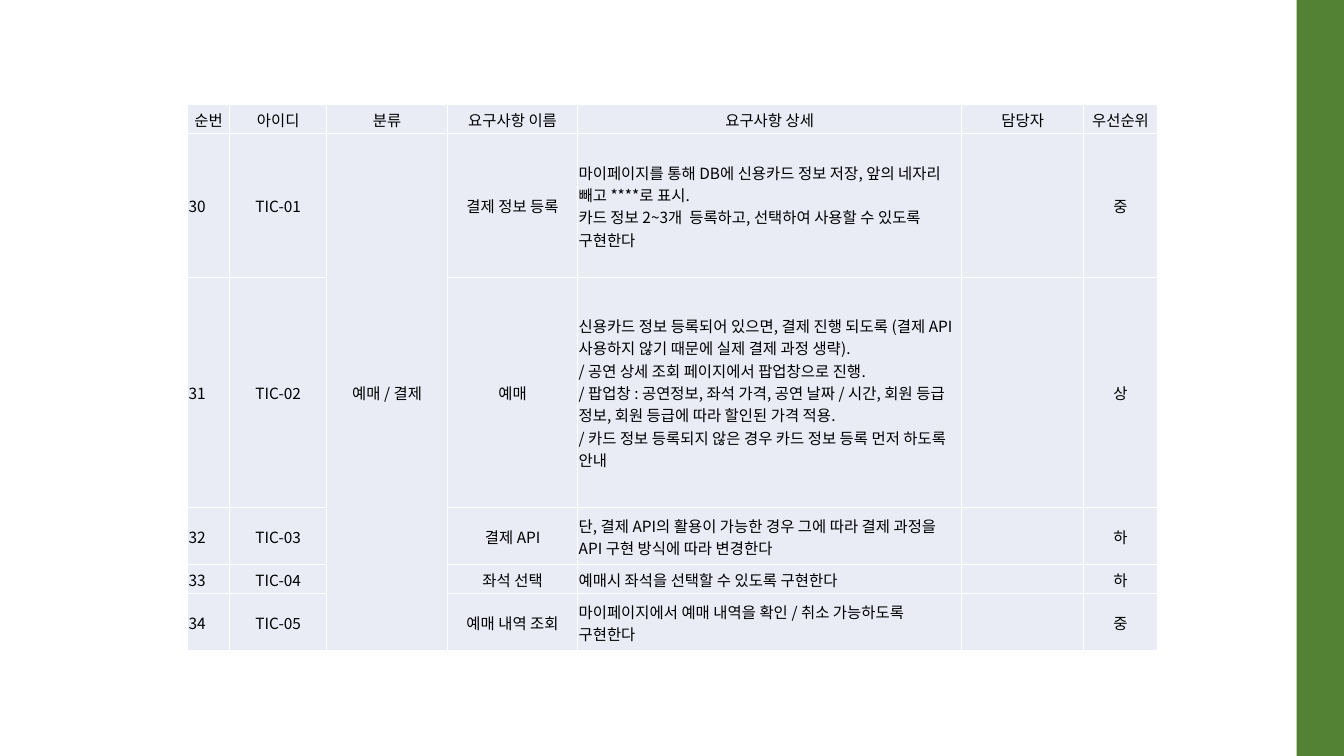
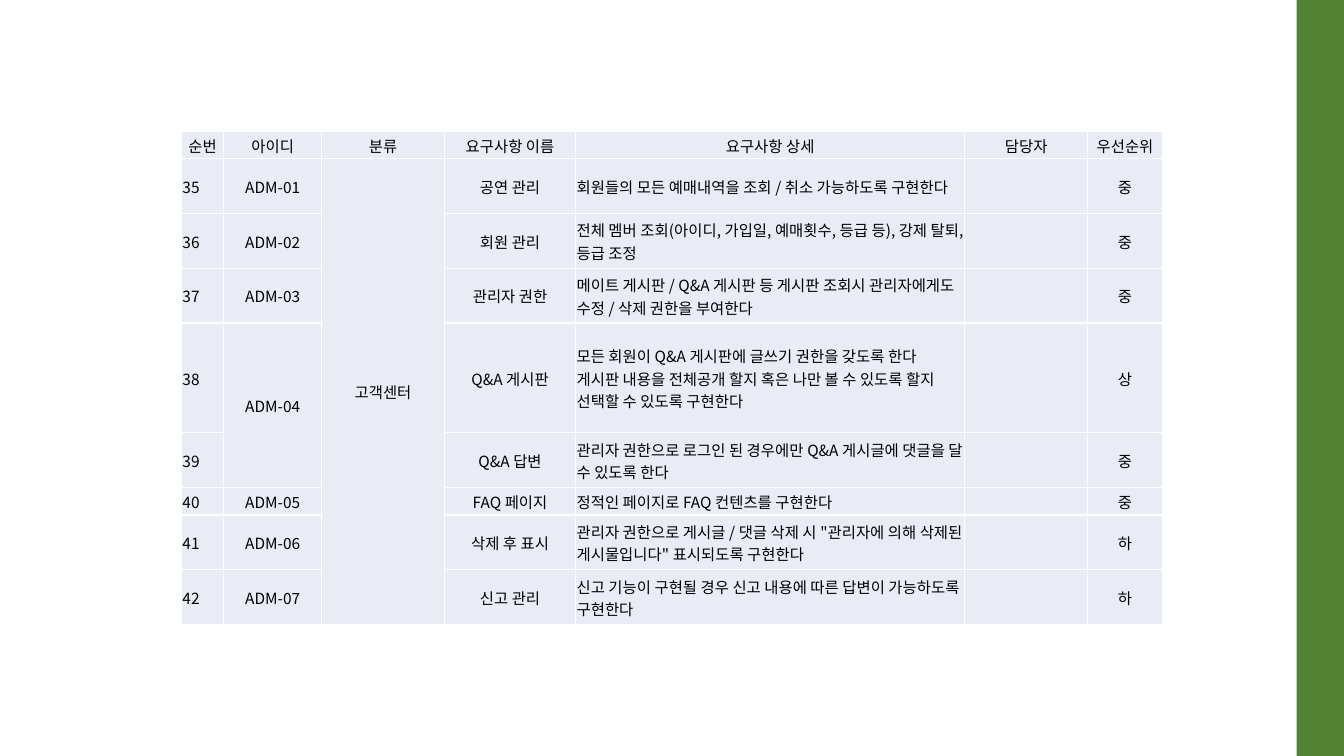
import pptx
import pptx.dml.color
import pptx.enum.shapes
import pptx.enum.text
import pptx.oxml
import pptx.oxml.ns
import pptx.util
from lxml import etree
from pptx.util import Inches

SLIDE_WIDTH, SLIDE_HEIGHT = 13.33, 7.5
BAND_WIDTH = 0.47
GREEN, LAVENDER, WHITE, BLACK = "548235", "E9EBF5", "FFFFFF", "000000"
FONT_NAME, FONT_SIZE = "Noto Sans CJK KR", 11
BORDER_WIDTH = 1

HEADERS = ["순번", "아이디", "분류", "요구사항 이름", "요구사항 상세", "담당자", "우선순위"]
NUMBER_COLUMN, ID_COLUMN, CATEGORY_COLUMN, DETAIL_COLUMN = 0, 1, 2, 4

# Each requirement: id (empty continues the one above), name, detail, priority, height in line units
TICKET_REQUIREMENTS = [
    ("TIC-01", "결제 정보 등록",
     "마이페이지를 통해 DB에 신용카드 정보 저장, 앞의 네자리 빼고 ****로 표시.\n"
     "카드 정보 2~3개  등록하고, 선택하여 사용할 수 있도록\n구현한다", "중", 5),
    ("TIC-02", "예매",
     "신용카드 정보 등록되어 있으면, 결제 진행 되도록 (결제 API 사용하지 않기 때문에 실제 결제 과정 생략).\n"
     "/ 공연 상세 조회 페이지에서 팝업창으로 진행.\n"
     "/ 팝업창 : 공연정보, 좌석 가격, 공연 날짜 / 시간, 회원 등급 정보, 회원 등급에 따라 할인된 가격 적용. \n"
     "/ 카드 정보 등록되지 않은 경우 카드 정보 등록 먼저 하도록 안내", "상", 8),
    ("TIC-03", "결제 API",
     "단, 결제 API의 활용이 가능한 경우 그에 따라 결제 과정을 API 구현 방식에 따라 변경한다", "하", 2),
    ("TIC-04", "좌석 선택", "예매시 좌석을 선택할 수 있도록 구현한다", "하", 1),
    ("TIC-05", "예매 내역 조회",
     "마이페이지에서 예매 내역을 확인 / 취소 가능하도록 구현한다", "중", 2),
]
ADMIN_REQUIREMENTS = [
    ("ADM-01", "공연 관리", "회원들의 모든 예매내역을 조회 / 취소 가능하도록 구현한다", "중", 2),
    ("ADM-02", "회원 관리",
     "전체 멤버 조회(아이디, 가입일, 예매횟수, 등급 등), 강제 탈퇴, 등급 조정", "중", 2),
    ("ADM-03", "관리자 권한",
     "메이트 게시판 / Q&A 게시판 등 게시판 조회시 관리자에게도 수정 / 삭제 권한을 부여한다", "중", 2),
    ("ADM-04", "Q&A 게시판",
     "모든 회원이 Q&A 게시판에 글쓰기 권한을 갖도록 한다\n"
     "게시판 내용을 전체공개 할지 혹은 나만 볼 수 있도록 할지 선택할 수 있도록 구현한다", "상", 4),
    ("", "Q&A 답변",
     "관리자 권한으로 로그인 된 경우에만 Q&A 게시글에 댓글을 달 수 있도록 한다", "중", 2),
    ("ADM-05", "FAQ 페이지", "정적인 페이지로 FAQ 컨텐츠를 구현한다", "중", 1),
    ("ADM-06", "삭제 후 표시",
     "관리자 권한으로 게시글 / 댓글 삭제 시 \"관리자에 의해 삭제된 게시물입니다\" 표시되도록 구현한다", "하", 2),
    ("ADM-07", "신고 관리",
     "신고 기능이 구현될 경우 신고 내용에 따른 답변이 가능하도록 구현한다", "하", 2),
]


def color(value):
    return pptx.dml.color.RGBColor.from_string(value)


def add_slide(presentation):
    """Add a blank slide with the green band on its right edge."""
    slide = presentation.slides.add_slide(presentation.slide_layouts[6])
    band = slide.shapes.add_shape(
        pptx.enum.shapes.MSO_SHAPE.RECTANGLE, Inches(SLIDE_WIDTH - BAND_WIDTH), 0,
        Inches(BAND_WIDTH), Inches(SLIDE_HEIGHT))
    band.shadow.inherit = False
    band.fill.solid()
    band.fill.fore_color.rgb = color(GREEN)
    band.line.fill.background()
    return slide


def add_borders(cell):
    properties = cell._tc.get_or_add_tcPr()
    for side in ("lnL", "lnR", "lnT", "lnB"):
        line = etree.SubElement(properties, pptx.oxml.ns.qn(f"a:{side}"),
                                w=str(pptx.util.Pt(BORDER_WIDTH)))
        fill = etree.SubElement(line, pptx.oxml.ns.qn("a:solidFill"))
        etree.SubElement(fill, pptx.oxml.ns.qn("a:srgbClr"), val=WHITE)


def format_text(paragraph):
    for run in paragraph.runs:
        run.font.size = pptx.util.Pt(FONT_SIZE)
        run.font.name = FONT_NAME
        run.font.color.rgb = color(BLACK)
        etree.SubElement(run.font._element, pptx.oxml.ns.qn("a:ea"), typeface=FONT_NAME)
    # The end mark keeps empty cells from stretching their row.
    etree.SubElement(paragraph._p, pptx.oxml.ns.qn("a:endParaRPr"), sz=str(FONT_SIZE * 100))


def fill_cell(cell, text, centered):
    add_borders(cell)
    cell.fill.solid()
    cell.fill.fore_color.rgb = color(LAVENDER)
    cell.margin_left = cell.margin_right = cell.margin_top = Inches(0.01)
    cell.margin_bottom = 0
    cell.vertical_anchor = pptx.enum.text.MSO_ANCHOR.MIDDLE
    paragraph = cell.text_frame.paragraphs[0]
    paragraph.text = text
    alignment = pptx.enum.text.PP_ALIGN
    paragraph.alignment = alignment.CENTER if centered else alignment.LEFT
    format_text(paragraph)


def add_requirement_table(slide, left, top, height, column_widths, category, first_number,
                          requirements):
    units = [1] + [requirement[-1] for requirement in requirements]
    rows = [HEADERS]
    for index, (identifier, name, detail, priority, _) in enumerate(requirements):
        rows.append([str(first_number + index), identifier, "" if index else category,
                     name, detail, "", priority])

    table = slide.shapes.add_table(
        len(rows), len(HEADERS), Inches(left), Inches(top),
        Inches(sum(column_widths)), Inches(height)).table
    table.first_row = table.horz_banding = False
    for column, width in zip(table.columns, column_widths):
        column.width = Inches(width)
    for row_index, (row, unit) in enumerate(zip(rows, units)):
        table.rows[row_index].height = Inches(height * unit / sum(units))
        for column_index, text in enumerate(row):
            centered = row_index == 0 or column_index not in (NUMBER_COLUMN, DETAIL_COLUMN)
            fill_cell(table.cell(row_index, column_index), text, centered)

    table.cell(1, CATEGORY_COLUMN).merge(table.cell(len(rows) - 1, CATEGORY_COLUMN))
    for row_index, row in enumerate(rows):
        if not row[ID_COLUMN]:
            table.cell(row_index - 1, ID_COLUMN).merge(table.cell(row_index, ID_COLUMN))


def main():
    presentation = pptx.Presentation()
    presentation.slide_width = Inches(SLIDE_WIDTH)
    presentation.slide_height = Inches(SLIDE_HEIGHT)
    add_requirement_table(
        add_slide(presentation), 1.86, 1.04, 5.42,
        [0.42, 0.96, 1.2, 1.29, 3.81, 1.21, 0.73], "예매 / 결제", 30, TICKET_REQUIREMENTS)
    add_requirement_table(
        add_slide(presentation), 1.8, 1.3, 4.9,
        [0.42, 0.97, 1.22, 1.3, 3.86, 1.22, 0.74], "고객센터", 35, ADMIN_REQUIREMENTS)
    presentation.save("out.pptx")


if __name__ == "__main__":
    main()
